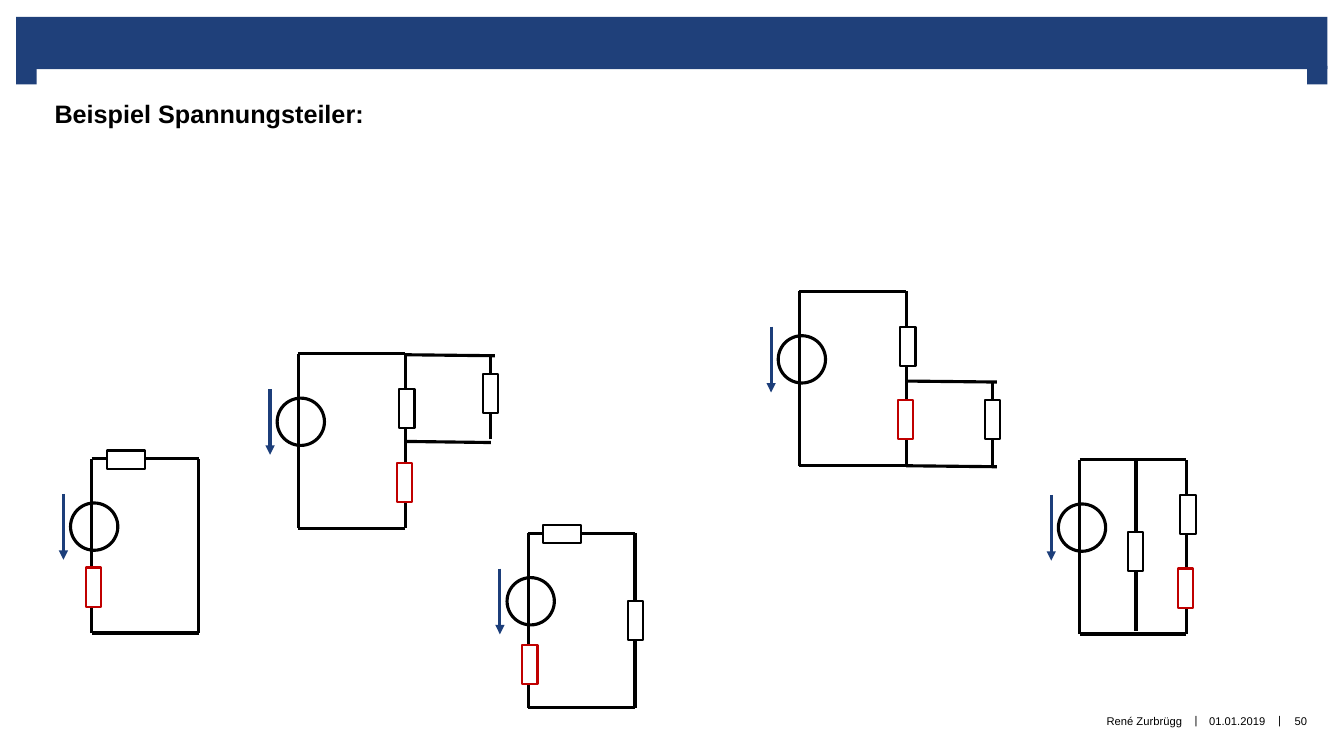
from lxml import etree
from pptx import Presentation
from pptx.dml.color import RGBColor
from pptx.enum.shapes import MSO_CONNECTOR, MSO_SHAPE
from pptx.enum.text import MSO_ANCHOR, PP_ALIGN
from pptx.oxml.ns import qn
from pptx.util import Pt

STRAIGHT = MSO_CONNECTOR.STRAIGHT
RECTANGLE, OVAL = MSO_SHAPE.RECTANGLE, MSO_SHAPE.OVAL
MIDDLE, TOP = MSO_ANCHOR.MIDDLE, MSO_ANCHOR.TOP
LEFT, CENTER, RIGHT = PP_ALIGN.LEFT, PP_ALIGN.CENTER, PP_ALIGN.RIGHT

BLACK = RGBColor(0x00, 0x00, 0x00)
WHITE = RGBColor(0xFF, 0xFF, 0xFF)
RED = RGBColor(0xC0, 0x00, 0x00)
BANNER_BLUE = RGBColor(0x1F, 0x40, 0x7A)
ARROW_BLUE = RGBColor(0x1C, 0x3E, 0x7A)

LOOP_WIDTH, LOOP_HEIGHT = 76.3, 124.6
SOURCE_DIAMETER = 33.8
UPRIGHT, FLAT = (11, 28), (27, 13)
TOP_RESISTOR = (10.8, -5.8, FLAT, BLACK)
UPPER_RIGHT_RESISTOR = (72, 25.2, UPRIGHT, BLACK)
LOWER_RIGHT_RESISTOR = (70.4, 77.8, UPRIGHT, RED)

# Wires and resistors are measured from the top left corner of their loop.
CIRCUITS = [
    {"corner": (65.5, 327.6), "wires": [],
     "resistors": [TOP_RESISTOR, (-4.3, 77.8, UPRIGHT, RED)]},
    {"corner": (377.3, 380.9), "wires": [],
     "resistors": [TOP_RESISTOR, (-4.3, 79.9, UPRIGHT, RED),
                   (71.3, 48.2, UPRIGHT, BLACK)]},
    {"corner": (771.1, 328.3), "wires": [(40.3, 122.4, 40.3, -1.4)],
     "resistors": [LOWER_RIGHT_RESISTOR, UPPER_RIGHT_RESISTOR,
                   (34.6, 51.8, UPRIGHT, BLACK)]},
    {"corner": (571, 208.1),
     "wires": [(LOOP_WIDTH, LOOP_HEIGHT, 141.1, 125.3),
               (138.2, LOOP_HEIGHT, 138.2, 65.5),
               (LOOP_WIDTH, 64.1, 141.1, 64.8)],
     "resistors": [LOWER_RIGHT_RESISTOR, UPPER_RIGHT_RESISTOR,
                   (132.5, 77.8, UPRIGHT, BLACK)]},
    {"corner": (213.1, 252.7),
     "wires": [(137.5, 61.2, 137.5, 2.2),
               (LOOP_WIDTH, 0.7, 140.4, 1.4),
               (LOOP_WIDTH, 62.6, 137.5, 63.4)],
     "resistors": [LOWER_RIGHT_RESISTOR, UPPER_RIGHT_RESISTOR,
                   (131.8, 14.4, UPRIGHT, BLACK)]},
]


def add_box(shapes, kind, left, top, width, height, fill=None, line=None, weight=1.5):
    shape = shapes.add_shape(kind, Pt(left), Pt(top), Pt(width), Pt(height))
    shape.shadow.inherit = False
    if fill is None:
        shape.fill.background()
    else:
        shape.fill.solid()
        shape.fill.fore_color.rgb = fill
    if line is None:
        shape.line.fill.background()
    else:
        shape.line.color.rgb = line
        shape.line.width = Pt(weight)


def add_wire(shapes, x1, y1, x2, y2, color=BLACK, arrow=False):
    wire = shapes.add_connector(STRAIGHT, Pt(x1), Pt(y1), Pt(x2), Pt(y2))
    wire.line.color.rgb = color
    wire.line.width = Pt(2.25)
    if arrow:
        line_xml = wire.line._get_or_add_ln()
        etree.SubElement(line_xml, qn("a:tailEnd"), type="triangle")
    etree.SubElement(wire._element.spPr, qn("a:effectLst"))


def add_text(slide, text, left, top, width, height, size=8, bold=False,
             align=CENTER, anchor=MIDDLE, margins=(0, 0)):
    frame = slide.shapes.add_textbox(Pt(left), Pt(top), Pt(width), Pt(height)).text_frame
    side, edge = map(Pt, margins)
    frame_format = {"word_wrap": False, "vertical_anchor": anchor,
                    "margin_left": side, "margin_right": side,
                    "margin_top": edge, "margin_bottom": edge}
    for name, value in frame_format.items():
        setattr(frame, name, value)
    paragraph = frame.paragraphs[0]
    paragraph.alignment = align
    run = paragraph.add_run()
    run.text = text
    for name, value in {"name": "Arial", "size": Pt(size), "bold": bold}.items():
        setattr(run.font, name, value)
    run.font.color.rgb = BLACK


def add_banner(slide, left, top, width):
    """Draw the blue bar with a small tab hanging from each end."""
    shapes = slide.shapes.add_group_shape().shapes
    tab_width = 14.6
    add_box(shapes, RECTANGLE, left, top, width, 37.4, BANNER_BLUE)
    for tab_left in (left, left + width - tab_width):
        add_box(shapes, RECTANGLE, tab_left, top + 35, tab_width, 13.3, BANNER_BLUE)


def add_footer(slide, top, height):
    for separator_left in (848.9, 908.6):
        add_text(slide, "|", separator_left, top, 10.8, height, margins=(2.9, 3.6))
    add_text(slide, "01.01.2019", 859.7, top + 0.5, 48.2, height)
    add_text(slide, "René Zurbrügg", 479.5, top + 0.5, 365, height, align=RIGHT)
    add_text(slide, "50", 915.1, top + 0.5, 28.1, height)


def add_circuit(slide, corner, wires, resistors):
    """Draw a loop with its voltage source, extra wires and resistors."""
    shapes = slide.shapes.add_group_shape().shapes
    left, top = corner
    loop = [(0, LOOP_HEIGHT, 0, 0),
            (0, LOOP_HEIGHT, LOOP_WIDTH, LOOP_HEIGHT),
            (LOOP_WIDTH, LOOP_HEIGHT, LOOP_WIDTH, 0),
            (0, 0, LOOP_WIDTH, 0)]
    for x1, y1, x2, y2 in loop + wires:
        add_wire(shapes, left + x1, top + y1, left + x2, top + y2)
    add_box(shapes, OVAL, left - 15.1, top + 31.7, SOURCE_DIAMETER, SOURCE_DIAMETER,
            line=BLACK, weight=2.25)
    add_wire(shapes, left - 20.2, top + 25.2, left - 20.2, top + 72.2,
             ARROW_BLUE, arrow=True)
    for x, y, (width, height), color in resistors:
        add_box(shapes, RECTANGLE, left + x, top + y, width, height, WHITE, color)


def main():
    presentation = Presentation()
    presentation.slide_width, presentation.slide_height = Pt(960), Pt(540)
    slide = presentation.slides.add_slide(presentation.slide_layouts[6])
    add_banner(slide, 11.5, 12, 936.7)
    add_footer(slide, 496.1, 36.7)
    add_text(slide, "Beispiel Spannungsteiler:", 31.9, 66.5, 237.6, 29,
             size=18, bold=True, align=LEFT, anchor=TOP, margins=(7.2, 3.6))
    for circuit in CIRCUITS:
        add_circuit(slide, **circuit)
    presentation.save("out.pptx")


if __name__ == "__main__":
    main()
